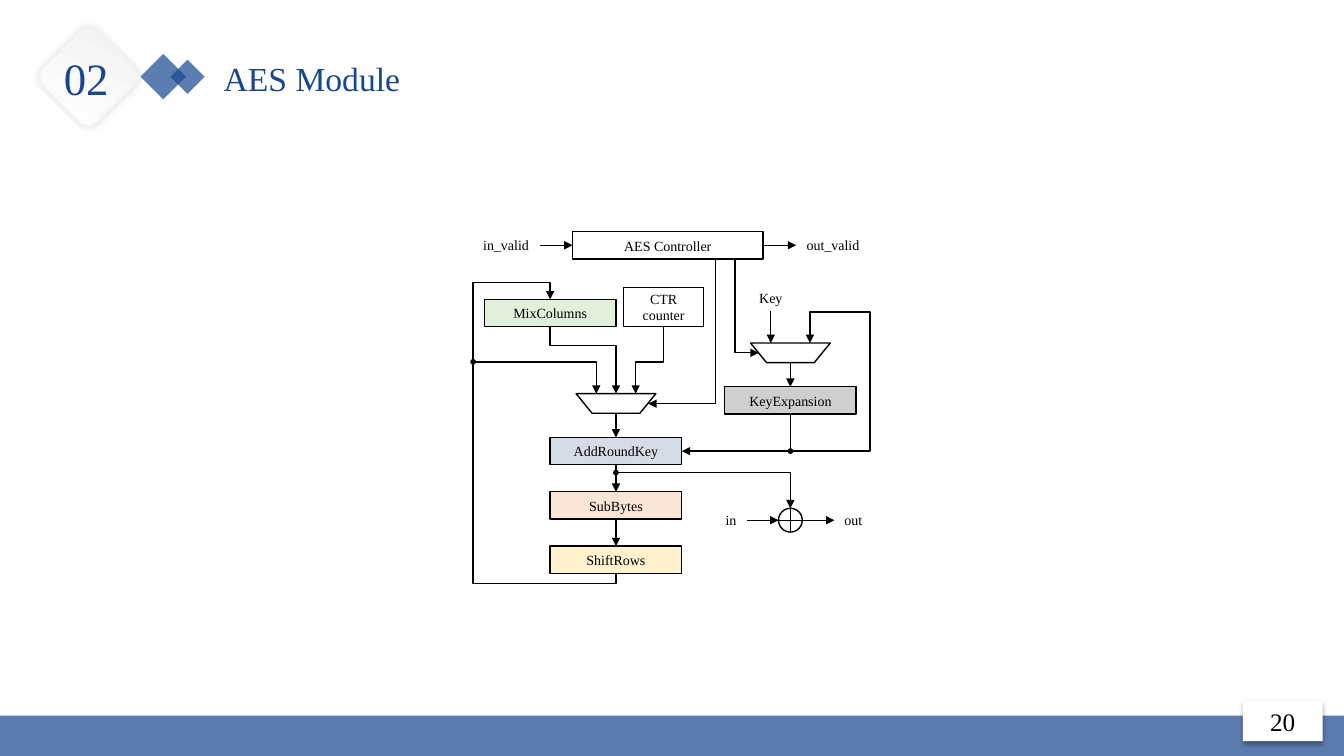
from lxml.etree import SubElement
from pptx import Presentation
from pptx.dml.color import RGBColor
from pptx.enum.shapes import MSO_CONNECTOR, MSO_SHAPE
from pptx.enum.text import MSO_ANCHOR, PP_ALIGN
from pptx.oxml.ns import qn
from pptx.util import Pt

NAVY = RGBColor(0x18, 0x47, 0x8F)
BAND = RGBColor(0x5B, 0x7C, 0xAE)
BLACK = RGBColor(0, 0, 0)
WHITE = RGBColor(0xFF, 0xFF, 0xFF)
PALE = RGBColor(0xF2, 0xF2, 0xF2)
BLUE = RGBColor(0xD6, 0xDC, 0xE5)
PEACH = RGBColor(0xFB, 0xE5, 0xD6)
YELLOW = RGBColor(0xFF, 0xF2, 0xCC)
GREEN = RGBColor(0xE2, 0xF0, 0xD9)
GREY = RGBColor(0xD0, 0xCE, 0xCE)


class Diagram:
    font = "Times New Roman"
    size = 10
    node_w, node_h = 94, 19.5
    mux_w, mux_h = 57, 14

    def __init__(self, slide):
        self.slide = slide
        self.shapes = slide.shapes

    def set_text(self, sp, text, size, color, align=PP_ALIGN.CENTER):
        tf = sp.text_frame
        tf.text = text
        tf.vertical_anchor = MSO_ANCHOR.MIDDLE
        for p in tf.paragraphs:
            p.alignment = align
            p.font.name = self.font
            p.font.size = Pt(size)
            p.font.color.rgb = color
        return tf

    def title(self, text, x, y, w, h):
        sp = self.shapes.title
        sp.left, sp.top, sp.width, sp.height = Pt(x), Pt(y), Pt(w), Pt(h)
        self.set_text(sp, text, 24, NAVY, PP_ALIGN.LEFT)

    def label(self, text, cx, cy, size=size, color=BLACK):
        w, h = 52, size * 2
        sp = self.shapes.add_textbox(Pt(cx - w / 2), Pt(cy - h / 2), Pt(w), Pt(h))
        self.set_text(sp, text, size, color).word_wrap = False

    def shape(self, kind, x, y, w, h, fill=None, line=BLACK):
        sp = self.shapes.add_shape(kind, Pt(x), Pt(y), Pt(w), Pt(h))
        sp.shadow.inherit = False
        if fill is None:
            sp.fill.background()
        else:
            sp.fill.solid()
            sp.fill.fore_color.rgb = fill
        if line is None:
            sp.line.fill.background()
        else:
            sp.line.color.rgb = line
            sp.line.width = Pt(1)
        return sp

    def node(self, text, x, y, w=node_w, h=node_h, fill=None, line=BLACK, size=size):
        sp = self.shape(MSO_SHAPE.RECTANGLE, x, y, w, h, fill, line)
        tf = self.set_text(sp, text, size, BLACK)
        tf.margin_left = tf.margin_right = tf.margin_top = tf.margin_bottom = 0
        return sp

    def mux(self, cx, y):
        self.shape(MSO_SHAPE.FLOWCHART_MANUAL_OPERATION, cx - self.mux_w / 2, y,
                   self.mux_w, self.mux_h)

    def dot(self, cx, cy):
        self.shape(MSO_SHAPE.OVAL, cx - 1.5, cy - 1.5, 3, 3, BLACK)

    def diamond(self, x, y, side):
        sp = self.shape(MSO_SHAPE.RECTANGLE, x, y, side, side, NAVY, None)
        sp.rotation = 225
        color = sp._element.spPr.find(".//" + qn("a:srgbClr"))
        SubElement(color, qn("a:alpha"), val="70000")

    def card(self, x, y, side):
        sp = self.shape(MSO_SHAPE.ROUNDED_RECTANGLE, x, y, side, side, WHITE, PALE)
        sp.rotation = 45
        sp.line.width = Pt(2)
        sp.fill.gradient()
        sp.fill.gradient_angle = 110
        for stop, color, position in zip(sp.fill.gradient_stops, (WHITE, PALE), (0, 1)):
            stop.color.rgb = color
            stop.position = position
        self.shadow(sp, 11, 5, 0)

    def shadow(self, sp, opacity, blur, dist):
        effects = sp._element.spPr.find(qn("a:effectLst"))
        outer = SubElement(effects, qn("a:outerShdw"), blurRad=str(Pt(blur)),
                           dist=str(Pt(dist)), dir="5400000", algn="ctr", rotWithShape="0")
        color = SubElement(outer, qn("a:srgbClr"), val=str(BLACK))
        SubElement(color, qn("a:alpha"), val=str(opacity * 1000))

    def line(self, x1, y1, x2, y2, arrow="tailEnd", kind=MSO_CONNECTOR.STRAIGHT):
        c = self.shapes.add_connector(kind, Pt(x1), Pt(y1), Pt(x2), Pt(y2))
        c.line.color.rgb = BLACK
        c.line.width = Pt(1)
        spPr = c._element.spPr
        if arrow:
            SubElement(spPr.find(qn("a:ln")), qn("a:" + arrow), type="triangle")
        SubElement(spPr, qn("a:effectLst"))
        return spPr

    def elbow(self, x1, y1, x2, y2, *stops, arrow="tailEnd"):
        dx, dy = x2 - x1, y2 - y1
        cx, cy = (x1 + x2) / 2, (y1 + y2) / 2
        w, h = abs(dy) / 2, abs(dx) / 2
        spPr = self.line(cx - w, cy - h, cx + w, cy + h, arrow, MSO_CONNECTOR.ELBOW)
        xfrm = spPr.find(qn("a:xfrm"))
        xfrm.set("rot", str((270 if dx > 0 else 90) * 60000))
        if (dx > 0) == (dy > 0):
            xfrm.set("flipH", "1")
        geom = spPr.find(qn("a:prstGeom"))
        geom.set("prst", f"bentConnector{len(stops) + 2}")
        guides = geom.find(qn("a:avLst"))
        for i, stop in enumerate(stops):
            ratio = (stop - x1) / dx if i % 2 else (stop - y1) / dy
            SubElement(guides, qn("a:gd"), name=f"adj{i + 1}",
                       fmla=f"val {round(ratio * 100000)}")


def main():
    prs = Presentation()
    prs.slide_width, prs.slide_height = Pt(960), Pt(540)
    s = prs.slides.add_slide(prs.slide_layouts[5])
    d = Diagram(s)

    d.diamond(105.1, 43.2, 23)
    d.diamond(125.3, 46.1, 17.3)
    d.title("AES Module", 152.6, 36, 252, 39)
    d.card(35.3, 27.4, 55.4)
    d.label("02", 61.6, 55.2, 32, NAVY)

    data_x, key_x, loop_x = 440, 564.6, 338
    half = d.node_w / 2
    round_top, step = 312.5, 38.8
    steps = [("AddRoundKey", BLUE), ("SubBytes", PEACH), ("ShiftRows", YELLOW)]
    for i, (text, fill) in enumerate(steps):
        y = round_top + i * step
        d.node(text, data_x - half, y, fill=fill)
        if i:
            d.line(data_x, y - step + d.node_h, data_x, y)
    round_bottom = round_top + d.node_h
    shift_bottom = round_bottom + 2 * step

    mix_x, mix_y, ctr_x = data_x - half, 213.8, 474
    inputs_bottom = mix_y + d.node_h
    key_y, ctrl_y, ctrl_mid = 276.3, 165.6, 175.2
    ctrl_bottom = ctrl_y + d.node_h
    d.node("AES Controller", 409, ctrl_y, 136)
    d.node("MixColumns", mix_x - half, mix_y, fill=GREEN)
    d.node("CTR\ncounter", ctr_x - 28.5, 205.2, 57, 28.1)
    d.node("KeyExpansion", key_x - half, key_y, fill=GREY)

    data_mux, key_mux, tap_y = 281.2, 245, 258.5
    d.mux(data_x, data_mux)
    d.mux(key_x, key_mux)
    d.line(data_x, data_mux + d.mux_h, data_x, round_top)
    d.line(key_x, key_mux + d.mux_h, key_x, key_y)
    d.line(key_x - 14, 222.5, key_x - 14, key_mux)
    d.label("Key", key_x - 14, 212.8)

    d.elbow(data_x, shift_bottom, mix_x, mix_y, 416.8, loop_x, 201.6)
    d.elbow(mix_x, inputs_bottom, data_x, data_mux, 246.8)
    d.elbow(data_x - 14, data_mux, loop_x, tap_y, arrow="headEnd")
    d.elbow(ctr_x, inputs_bottom, data_x + 14, data_mux, tap_y)
    d.dot(loop_x, tap_y)

    key_bottom, round_mid = key_y + d.node_h, round_top + d.node_h / 2
    d.elbow(key_x, key_bottom, data_x + half, round_mid)
    d.elbow(key_x, key_bottom, key_x + 14, key_mux, round_mid, 621.4, 222.8)
    d.dot(key_x, round_mid)
    d.elbow(525, ctrl_bottom, 542, 252)
    d.elbow(511, ctrl_bottom, 463, 288.4)

    xor_y, r, branch_y = 371.6, 8.5, 337.6
    d.shape(MSO_SHAPE.OVAL, key_x - r, xor_y - r, 2 * r, 2 * r)
    d.line(key_x, xor_y - r, key_x, xor_y + r, None)
    d.line(key_x - r, xor_y, key_x + r, xor_y, None)
    d.elbow(data_x, round_bottom, key_x, xor_y - r, branch_y)
    d.dot(data_x, branch_y)

    ports = [("in_valid", 361.5, 385.7, 409, ctrl_mid), ("out_valid", 595, 545, 568.7, ctrl_mid),
             ("in", 522.2, 533.5, key_x - r, xor_y), ("out", 609.6, key_x + r, 596, xor_y)]
    for text, cx, start, end, y in ports:
        d.label(text, cx, y)
        d.line(start, y, end, y)

    d.shape(MSO_SHAPE.RECTANGLE, 0, 511.2, 960, 28.8, BAND, None)
    page = d.node("20", 887.8, 500.6, 56.9, 28.8, WHITE, None, 18)
    d.shadow(page, 32, 3.5, 2.2)
    prs.save("out.pptx")


if __name__ == "__main__":
    main()
